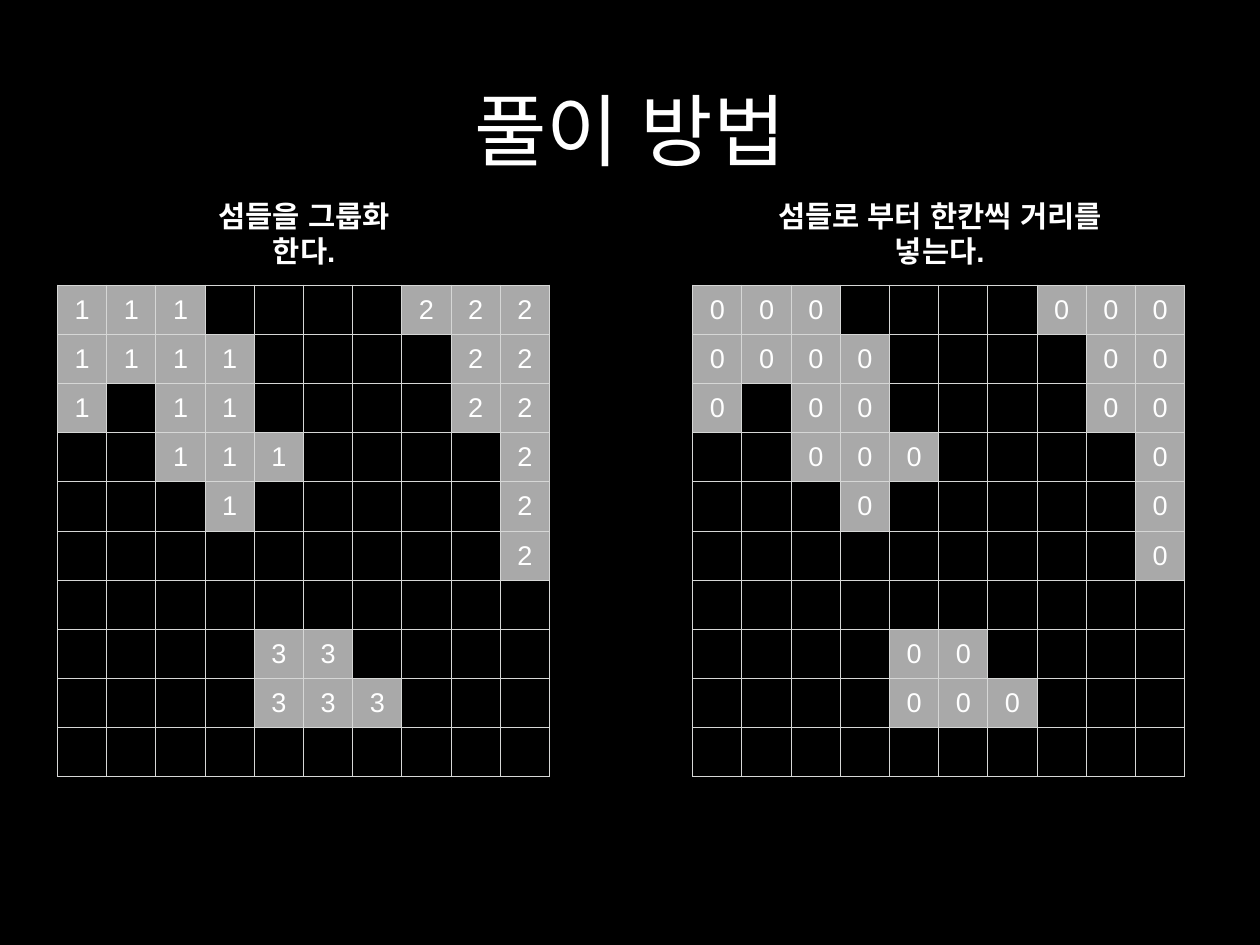
from lxml import etree
from pptx import Presentation
from pptx.dml.color import RGBColor
from pptx.enum.text import MSO_ANCHOR, MSO_AUTO_SIZE, PP_ALIGN
from pptx.oxml.ns import qn
from pptx.util import Cm, Pt

MIDDLE = MSO_ANCHOR.MIDDLE
CENTER = PP_ALIGN.CENTER
NO_AUTOFIT = MSO_AUTO_SIZE.NONE
GROW_SHAPE = MSO_AUTO_SIZE.SHAPE_TO_FIT_TEXT

BLACK = RGBColor(0x00, 0x00, 0x00)
WHITE = RGBColor(0xFF, 0xFF, 0xFF)
LAND_GRAY = RGBColor(0xA9, 0xA9, 0xA9)
GRID_GRAY = RGBColor(0xD6, 0xD7, 0xD6)

FONT = "Arial"
INSET = Cm(0.14)
CELL_SIZE = Cm(1.41)
GRID_TOP = Cm(8.18)
BORDER_TAGS = ("a:lnL", "a:lnR", "a:lnT", "a:lnB")

ISLAND_GROUPS = (
    "111....222",
    "1111....22",
    "1.11....22",
    "..111....2",
    "...1.....2",
    ".........2",
    "..........",
    "....33....",
    "....333...",
    "..........",
)
ISLAND_DISTANCES = [
    "".join("." if mark == "." else "0" for mark in row) for row in ISLAND_GROUPS
]


def write_centered(paragraph, text, size, bold=False):
    paragraph.alignment = CENTER
    run = paragraph.add_run()
    run.text = text
    font_format = {"name": FONT, "size": Pt(size), "bold": bold}
    for attribute, value in font_format.items():
        setattr(run.font, attribute, value)
    run.font.color.rgb = WHITE
    east_asian = etree.SubElement(run.font._element, qn("a:ea"))
    east_asian.set("typeface", FONT)


def add_cell_borders(cell):
    properties = cell._tc.get_or_add_tcPr()
    for position, tag in enumerate(BORDER_TAGS):
        line = etree.Element(qn(tag), w=str(Pt(1)))
        fill = etree.SubElement(line, qn("a:solidFill"))
        etree.SubElement(fill, qn("a:srgbClr"), val=str(GRID_GRAY))
        properties.insert(position, line)


presentation = Presentation()
presentation.slide_width = Cm(36.12)
presentation.slide_height = Cm(27.1)
slide = presentation.slides.add_slide(presentation.slide_layouts[6])
slide.background.fill.solid()
slide.background.fill.fore_color.rgb = BLACK

grids = ((1.65, ISLAND_GROUPS), (19.86, ISLAND_DISTANCES))
for left, rows in grids:
    row_count, column_count = len(rows), len(rows[0])
    table = slide.shapes.add_table(
        row_count, column_count, Cm(left), GRID_TOP,
        CELL_SIZE * column_count, CELL_SIZE * row_count,
    ).table
    table.first_row = False
    table.horz_banding = False
    for row_index, row in enumerate(rows):
        for column_index, mark in enumerate(row):
            cell = table.cell(row_index, column_index)
            cell.vertical_anchor = MIDDLE
            for side in ("left", "right", "top", "bottom"):
                setattr(cell, f"margin_{side}", INSET)
            if mark == ".":
                cell.fill.background()
            else:
                cell.fill.solid()
                cell.fill.fore_color.rgb = LAND_GRAY
                write_centered(cell.text_frame.paragraphs[0], mark, 22)
            add_cell_borders(cell)

# text, left, top, width, height, size, bold, wrap, autofit
texts = (
    ("풀이 방법", 2.64, 0.71, 30.84, 5.99, 64, False, True, NO_AUTOFIT),
    ("섬들을 그룹화 한다.", 5.28, 6.02, 6.88, 1.35, 24, True, False, GROW_SHAPE),
    ("섬들로 부터 한칸씩 거리를 넣는다.", 21.06, 6.02, 11.76, 1.35, 24, True, False, GROW_SHAPE),
)
for text, left, top, width, height, size, bold, wrap, autofit in texts:
    box = slide.shapes.add_textbox(Cm(left), Cm(top), Cm(width), Cm(height))
    frame_format = {
        "word_wrap": wrap, "auto_size": autofit, "vertical_anchor": MIDDLE,
        "margin_left": INSET, "margin_right": INSET,
        "margin_top": INSET, "margin_bottom": INSET,
    }
    for attribute, value in frame_format.items():
        setattr(box.text_frame, attribute, value)
    write_centered(box.text_frame.paragraphs[0], text, size, bold)

presentation.save("out.pptx")
